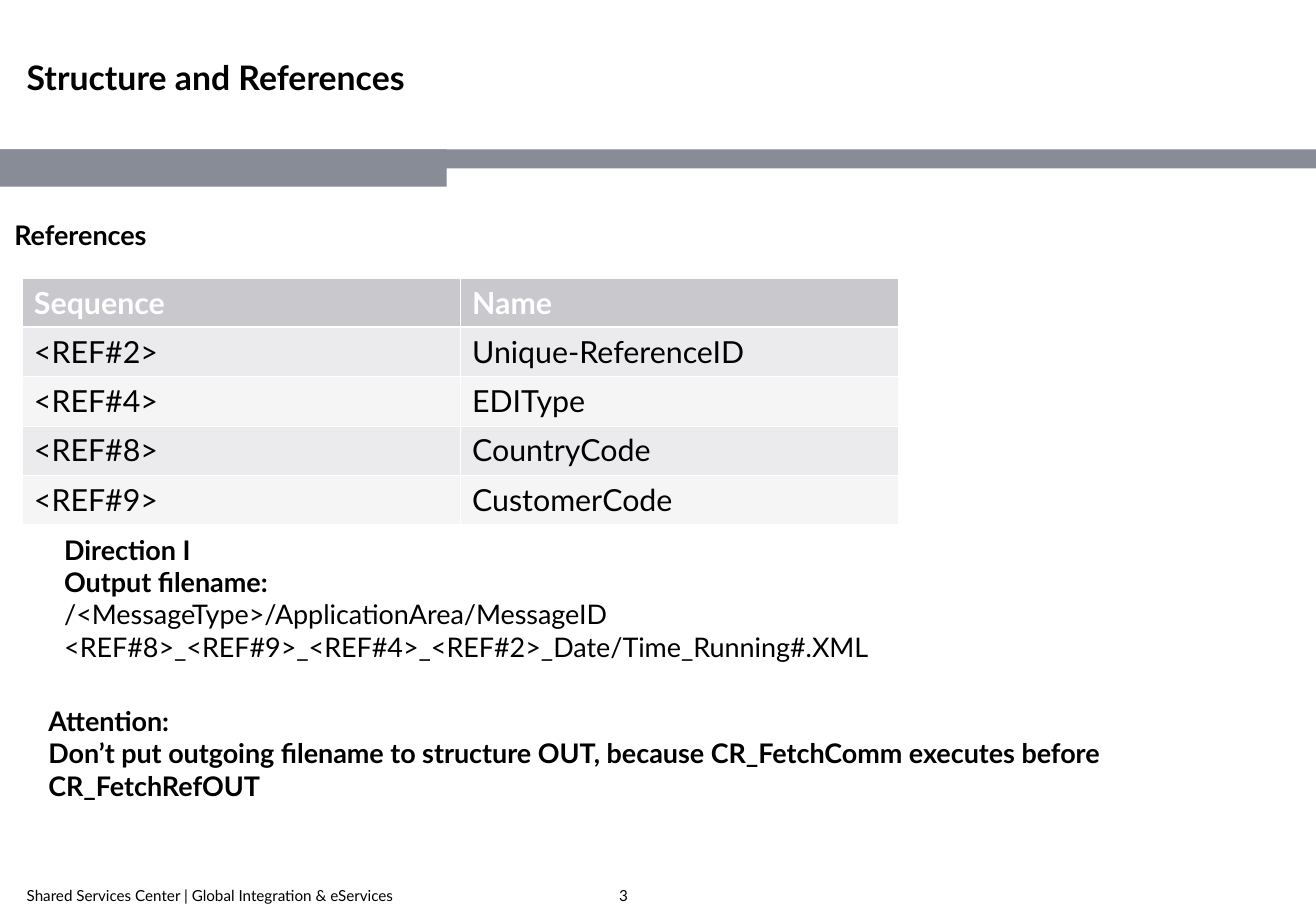
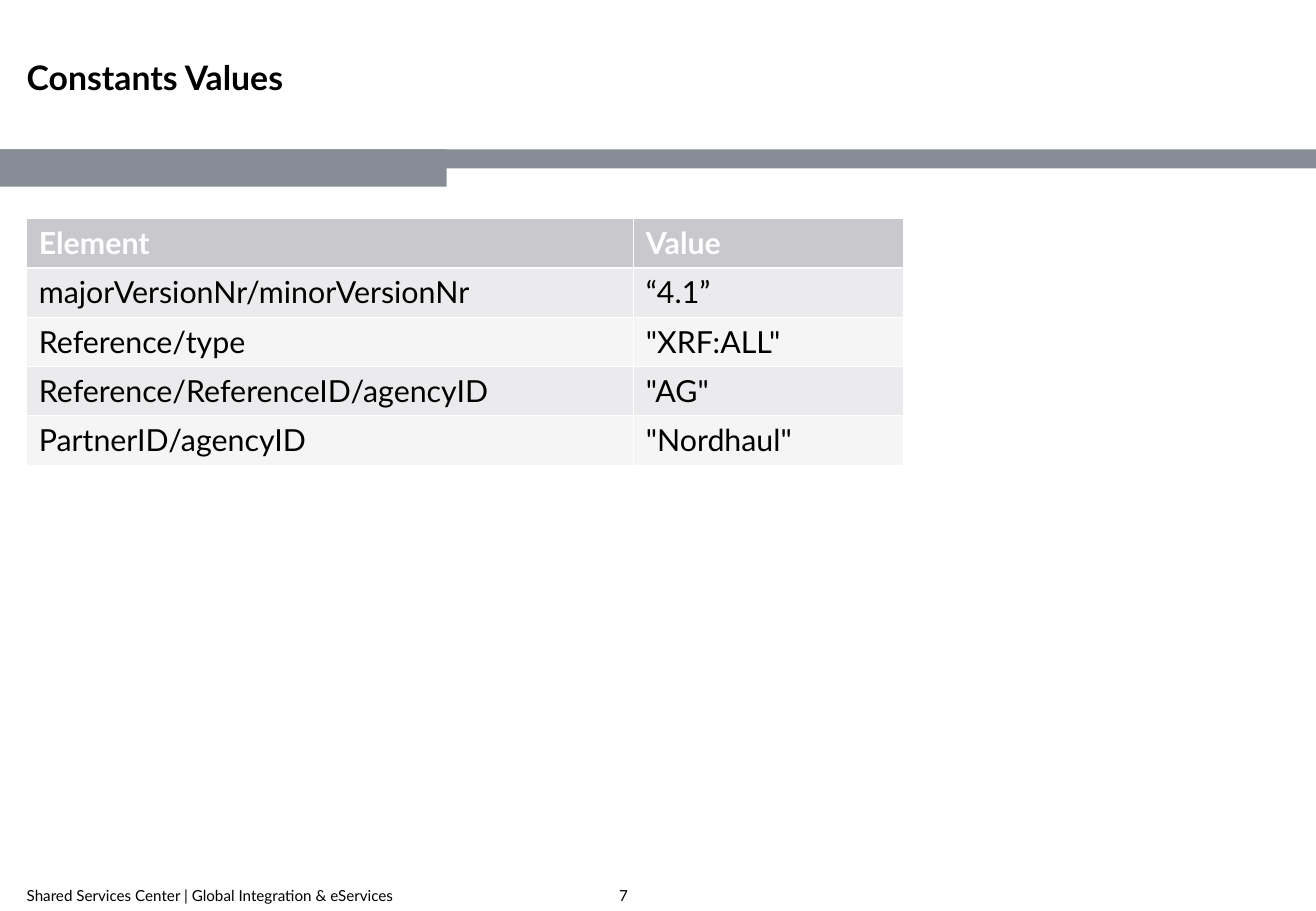
from dataclasses import dataclass

from lxml.etree import SubElement
from pptx import Presentation
from pptx.dml.color import RGBColor
from pptx.enum.shapes import MSO_SHAPE
from pptx.enum.text import MSO_ANCHOR
from pptx.oxml.ns import qn
from pptx.util import Emu, Inches, Pt


@dataclass(frozen=True)
class Theme:
    font: str = "Lato"
    ink: str = "000000"
    paper: str = "FFFFFF"
    band: str = "878C96"
    header: str = "C8C8CD"
    stripes: tuple = ("EBEBED", "F5F5F6")
    title_size: float = 20
    table_size: float = 18
    body_size: float = 16
    footer_size: float = 9
    grid_line: float = 0.45
    header_line: float = 1.47


THEME = Theme()
WIDTH, HEIGHT = Inches(10.84), Inches(7.5)
MARGIN = 2.03
BAND_TOP = 16.4
FOOTER_TOP = 97.2
FOOTER_HEIGHT = 2.13
ROW_HEIGHT = 5.41
PADDING = (Inches(0.1), Inches(0.05))
FOOTER = "Shared Services Center | Global Integration & eServices"


def across(percent):
    return Emu(round(WIDTH * percent / 100))


def down(percent):
    return Emu(round(HEIGHT * percent / 100))


def area(left, top, width, height):
    return across(left), down(top), across(width), down(height)


def style(paragraph, size, color=THEME.ink, bold=False):
    font = paragraph.font
    font.name = THEME.font
    font.size = Pt(size)
    font.bold = bold
    font.color.rgb = RGBColor.from_string(color)


def add_text(slide, place, lines, size, bold_lines=0, padding=(0, 0),
             anchor=MSO_ANCHOR.TOP):
    frame = slide.shapes.add_textbox(*area(*place)).text_frame
    frame.word_wrap = True
    frame.vertical_anchor = anchor
    frame.margin_left = frame.margin_right = padding[0]
    frame.margin_top = frame.margin_bottom = padding[1]
    frame.text = "\n".join(lines)
    for index, paragraph in enumerate(frame.paragraphs):
        style(paragraph, size, bold=index < bold_lines)


def add_band(slide, width, height):
    band = slide.shapes.add_shape(MSO_SHAPE.RECTANGLE, *area(0, BAND_TOP, width, height))
    band.shadow.inherit = False
    band.fill.solid()
    band.fill.fore_color.rgb = RGBColor.from_string(THEME.band)
    band.line.fill.background()


def add_borders(cell, row):
    widths = {
        "a:lnL": THEME.grid_line,
        "a:lnR": THEME.grid_line,
        "a:lnT": THEME.header_line if row == 1 else THEME.grid_line,
        "a:lnB": THEME.header_line if row == 0 else THEME.grid_line,
    }
    properties = cell._tc.get_or_add_tcPr()
    for side, width in widths.items():
        border = SubElement(properties, qn(side), w=str(Pt(width)))
        SubElement(SubElement(border, qn("a:solidFill")), qn("a:srgbClr"), val=THEME.paper)


def add_grid(slide, left, top, columns, rows):
    place = area(left, top, sum(columns), ROW_HEIGHT * len(rows))
    table = slide.shapes.add_table(len(rows), len(columns), *place).table
    for column, width in zip(table.columns, columns):
        column.width = across(width)
    for row, values in enumerate(rows):
        is_header = row == 0
        table.rows[row].height = down(ROW_HEIGHT)
        fill = THEME.header if is_header else THEME.stripes[(row - 1) % 2]
        for column, value in enumerate(values):
            cell = table.cell(row, column)
            cell.text = value
            style(cell.text_frame.paragraphs[0], THEME.table_size,
                  THEME.paper if is_header else THEME.ink, is_header)
            add_borders(cell, row)
            cell.fill.solid()
            cell.fill.fore_color.rgb = RGBColor.from_string(fill)


def add_page(deck, title, number):
    slide = deck.slides.add_slide(deck.slide_layouts[6])
    add_band(slide, 100, 2.1)
    add_band(slide, 33.95, 4.1)
    add_text(slide, (MARGIN, 6.27, 68.54, 9.47), [title], THEME.title_size, bold_lines=1)
    for left, width, text in ((47.05, 5.81, str(number)), (MARGIN, 42.9, FOOTER)):
        add_text(slide, (left, FOOTER_TOP, width, FOOTER_HEIGHT), [text],
                 THEME.footer_size, anchor=MSO_ANCHOR.MIDDLE)
    return slide


def add_references(deck):
    slide = add_page(deck, "Structure and References", 3)
    add_grid(slide, 1.66, 30.53, (33.3, 33.3), [
        ("Sequence", "Name"),
        ("<REF#2>", "Unique-ReferenceID"),
        ("<REF#4>", "EDIType"),
        ("<REF#8>", "CountryCode"),
        ("<REF#9>", "CustomerCode"),
    ])
    notes = [
        ((0.18, 23.33, 13.1, 4.93), 1, ["References"]),
        ((3.97, 57.87, 63.65, 15.6), 2, [
            "Direction I",
            "Output filename:",
            "/<MessageType>/ApplicationArea/MessageID",
            "<REF#8>_<REF#9>_<REF#4>_<REF#2>_Date/Time_Running#.XML",
        ]),
        ((2.77, 76.67, 92.62, 12), 2, [
            "Attention:",
            "Don’t put outgoing filename to structure OUT, because "
            "CR_FetchComm executes before CR_FetchRefOUT",
        ]),
    ]
    for place, bold_lines, lines in notes:
        add_text(slide, place, lines, THEME.body_size, bold_lines, PADDING)


def add_constants(deck):
    slide = add_page(deck, "Constants Values", 7)
    add_grid(slide, MARGIN, 24, (46.13, 20.48), [
        ("Element", "Value"),
        ("majorVersionNr/minorVersionNr", "“4.1”"),
        ("Reference/type", '"XRF:ALL"'),
        ("Reference/ReferenceID/agencyID", '"AG"'),
        ("PartnerID/agencyID", '"Nordhaul"'),
    ])


def main():
    deck = Presentation()
    deck.slide_width, deck.slide_height = WIDTH, HEIGHT
    add_references(deck)
    add_constants(deck)
    deck.save("out.pptx")


if __name__ == "__main__":
    main()
